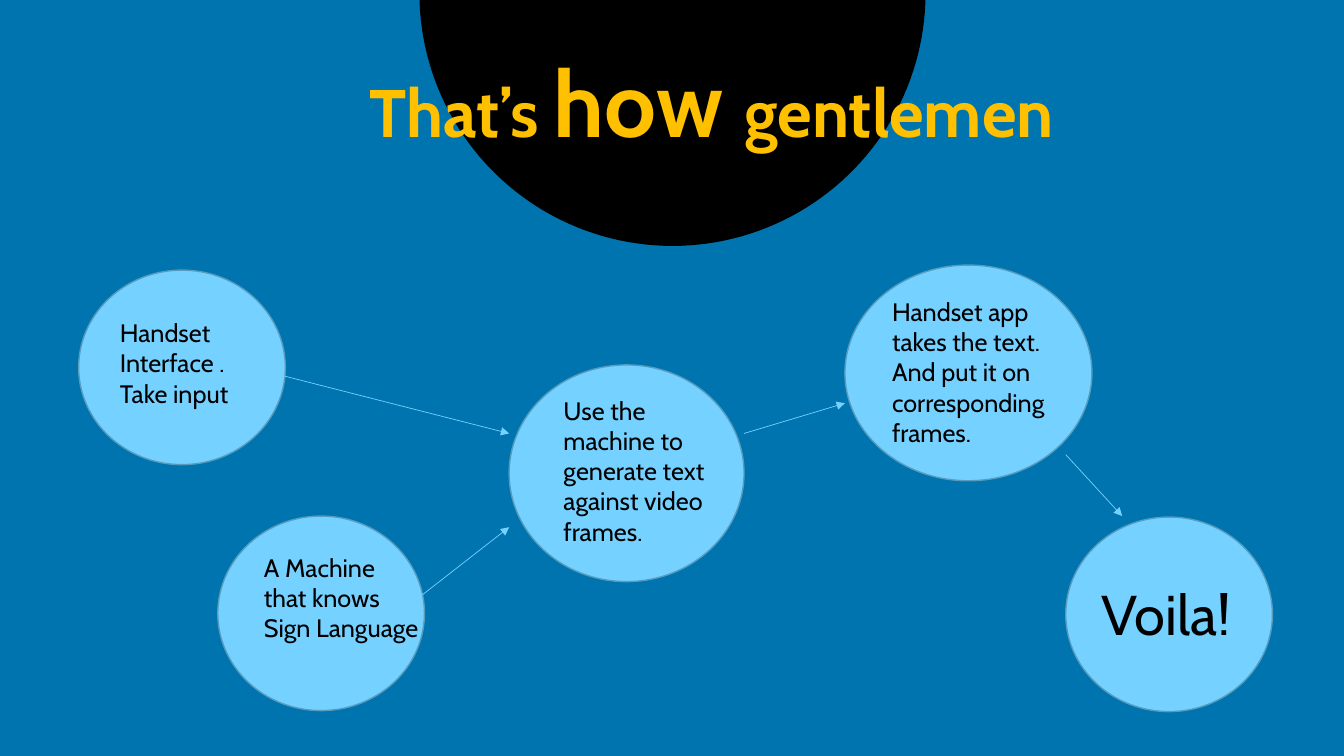
from math import cos, pi, sin

from pptx import Presentation
from pptx.dml.color import RGBColor
from pptx.enum.shapes import MSO_CONNECTOR as Connector, MSO_SHAPE as Shape
from pptx.enum.text import MSO_ANCHOR as Anchor, PP_ALIGN as Align
from pptx.oxml.ns import qn
from pptx.util import Inches, Pt
from lxml.etree import SubElement


def color(value):
    return RGBColor.from_string(value)


def add_text(left, top, width, height, lines, size):
    box = page.shapes.add_textbox(Inches(left), Inches(top), Inches(width), Inches(height))
    frame = box.text_frame
    frame.word_wrap = True
    frame.text = "\n".join(lines)
    for para in frame.paragraphs:
        para.font.name = "Cabin"
        para.font.size = Pt(size)
        para.font.color.rgb = color("000000")


deck = Presentation()
deck.slide_width, deck.slide_height = Inches(13.33), Inches(7.5)
page = deck.slides.add_slide(deck.slide_layouts[6])
page.background.fill.solid()
page.background.fill.fore_color.rgb = color("0074AF")

# Black half disc hanging from the top edge
center_x, center_y, radius, steps = 6.67, -0.07, 2.51, 90
arc = [(Inches(center_x + radius * cos(pi * step / steps)),
        Inches(center_y + radius * sin(pi * step / steps))) for step in range(steps + 1)]
builder = page.shapes.build_freeform(*arc[0])
builder.add_line_segments(arc[1:], close=True)
half_disc = builder.convert_to_shape()
half_disc.shadow.inherit = False
half_disc.fill.solid()
half_disc.fill.fore_color.rgb = color("000000")
half_disc.line.fill.background()

# Title
title = page.shapes.add_textbox(Inches(3.18), Inches(0.52), Inches(7.76), Inches(1.1))
title.text_frame.word_wrap = False
title.text_frame.vertical_anchor = Anchor.MIDDLE
para = title.text_frame.paragraphs[0]
para.alignment = Align.CENTER
para.line_spacing = 0.9
para.font.name = "Cabin"
para.font.bold = True
para.font.color.rgb = color("FFC000")
for words, size in [("That’s ", 48), ("how ", 66), ("gentlemen", 48)]:
    span = para.add_run()
    span.text = words
    span.font.size = Pt(size)

# Step circles
circles = [
    (0.78, 2.68, 2.05, 1.93),
    (2.16, 5.12, 2.05, 1.93),
    (8.38, 2.63, 2.45, 2.14),
    (5.05, 3.62, 2.33, 2.15),
    (10.57, 5.13, 2.05, 1.93),
]
for bounds in circles:
    circle = page.shapes.add_shape(Shape.OVAL, *map(Inches, bounds))
    circle.shadow.inherit = False
    circle.fill.solid()
    circle.fill.fore_color.rgb = color("75D1FF")
    circle.line.color.rgb = color("579BBD")
    circle.line.width = Pt(1)

# Step labels
add_text(1.09, 3.1, 1.74, 1.01, ["Handset Interface .", "Take input"], 18)
add_text(2.52, 5.43, 1.74, 1.31, ["A Machine that knows Sign Language"], 18)
add_text(5.49, 3.87, 1.79, 1.67, ["Use the machine to generate text against video frames."], 18)
add_text(8.75, 2.89, 1.96, 1.62,
         ["Handset app takes the text.", "And put it on corresponding frames."], 18)
add_text(10.83, 5.7, 1.96, 0.77, ["Voila!"], 40)

# Arrows between steps
arrows = [
    (2.7, 3.7, 5.05, 4.3),
    (3.96, 6.08, 5.05, 5.23),
    (7.38, 4.3, 8.38, 4),
    (10.57, 4.51, 11.13, 5.12),
]
for ends in arrows:
    arrow = page.shapes.add_connector(Connector.STRAIGHT, *map(Inches, ends))
    arrow.line.color.rgb = color("75D1FF")
    arrow.line.width = Pt(0.5)
    SubElement(arrow.line._get_or_add_ln(), qn("a:tailEnd"), type="triangle")
    SubElement(arrow._element.spPr, qn("a:effectLst"))

deck.save("out.pptx")
